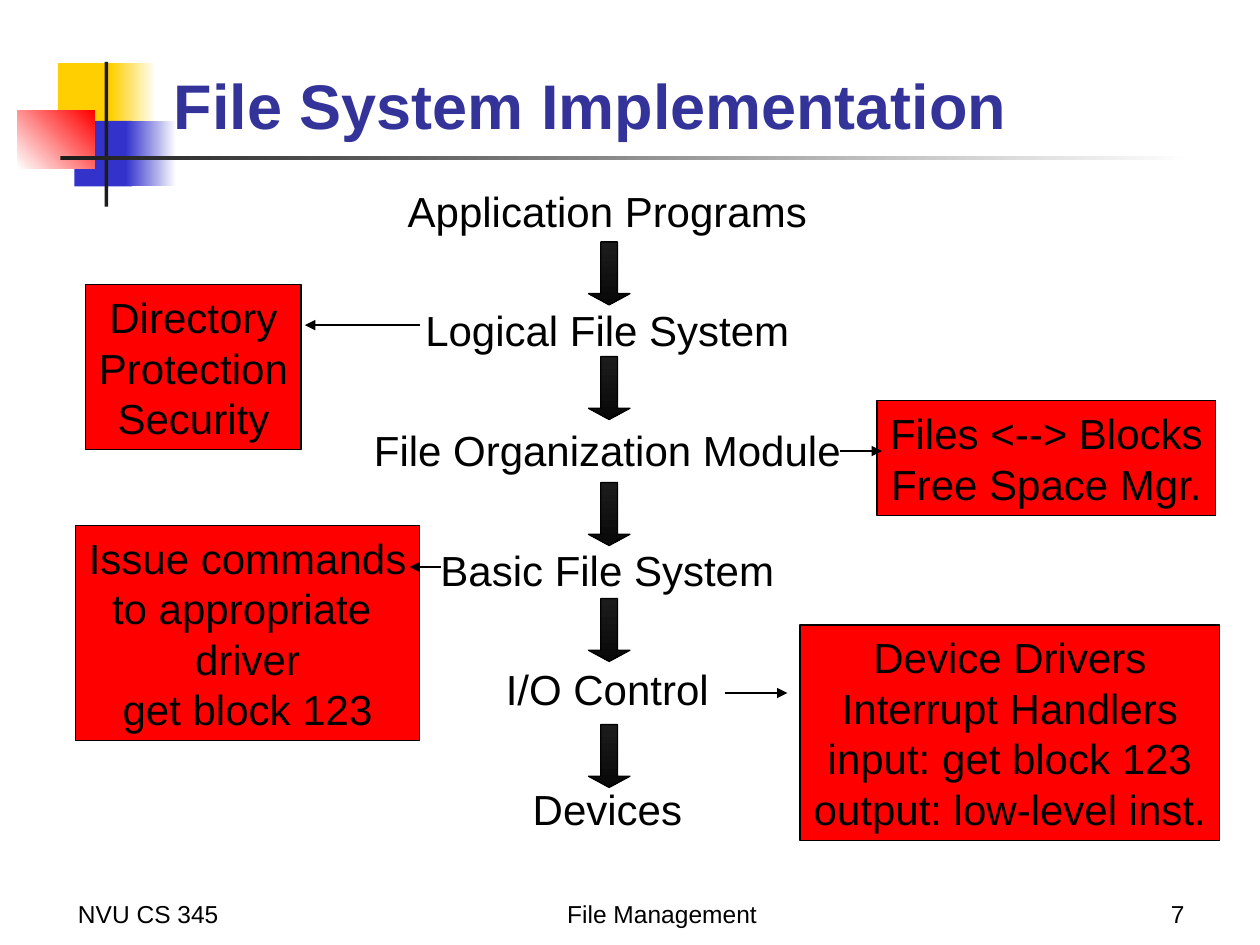
from lxml import etree
from pptx import Presentation
from pptx import util as u
from pptx.dml.color import RGBColor
from pptx.enum import shapes, text
from pptx.oxml.ns import qn

FONT = "Arial"
BLACK, WHITE, RED, DARK = "000000", "FFFFFF", "FF0000", "1C1C1C"
YELLOW, BLUE, TITLE_BLUE = "FFCF01", "3333CC", "333399"
LEFT, CENTER, RIGHT = text.PP_ALIGN.LEFT, text.PP_ALIGN.CENTER, text.PP_ALIGN.RIGHT
MIDDLE, BOTTOM = text.MSO_ANCHOR.MIDDLE, text.MSO_ANCHOR.BOTTOM

# Box (left, top, width, height), colours (one is solid, two a gradient), angle
DECOR = [
    ((0.46, 0.5, 0.48, 0.52), [YELLOW], 0),
    ((0.88, 0.5, 0.36, 0.52), [YELLOW, WHITE], 0),
    ((0.59, 0.96, 0.46, 0.52), [BLUE], 0),
    ((1, 0.96, 0.4, 0.52), [BLUE, WHITE], 0),
    ((0.14, 0.88, 0.61, 0.46), [WHITE, RED], 45),
    ((0.83, 0.49, 0.03, 1.15), [DARK], 0),
    ((0.48, 1.24, 9, 0.03), [DARK, WHITE], 0),
]
TITLE = "File System Implementation"
FOOTER = [
    ("NVU CS 345", (0.52, 6.92, 2.08, 0.5), LEFT),
    ("File Management", (3.67, 6.92, 3.17, 0.5), CENTER),
    ("7", (7.42, 6.92, 2.08, 0.5), RIGHT),
]
# Layer name, label width, top of the arrow leading down from it
LAYERS = [
    ("Application Programs", 3.37, 1.92),
    ("Logical File System", 3.09, 2.83),
    ("File Organization Module", 3.91, 3.83),
    ("Basic File System", 2.85, 4.75),
    ("I/O Control", 1.81, 5.75),
    ("Devices", 1.39, None),
]
LAYER_TOP, LAYER_STEP, LAYER_HEIGHT, LAYER_CENTER = 1.42, 0.95, 0.5, 4.82
ARROW_LEFT, ARROW_WIDTH, ARROW_HEIGHT = 4.67, 0.33, 0.5
# Lines of the note, its box, and its pointer (from x, to x, y)
NOTES = [
    (["Directory", "Protection", "Security"],
     (0.68, 2.26, 1.71, 1.31), (3.33, 2.42, 2.58)),
    (["Files <--> Blocks", "Free Space Mgr."],
     (6.96, 3.18, 2.69, 0.91), (6.67, 7, 3.58)),
    (["Issue commands", "to appropriate ", "driver", "get block 123"],
     (0.6, 4.17, 2.73, 1.71), (3.5, 3.25, 4.5)),
    (["Device Drivers", "Interrupt Handlers", "input: get block 123",
      "output: low-level inst."],
     (6.35, 4.96, 3.33, 1.71), (5.75, 6.25, 5.5)),
]


def color(value):
    """Turn a hex string into a colour."""
    return RGBColor.from_string(value)


def inches(values):
    """Turn numbers into lengths."""
    return [u.Inches(value) for value in values]


def write(shape, lines, size, align, anchor, wrap=True, ink=BLACK, bold=False):
    """Write one paragraph for each line into a shape."""
    frame = shape.text_frame
    frame.word_wrap = wrap
    frame.auto_size = text.MSO_AUTO_SIZE.NONE if wrap else text.MSO_AUTO_SIZE.SHAPE_TO_FIT_TEXT
    frame.vertical_anchor = anchor
    for index, line in enumerate(lines):
        para = frame.add_paragraph() if index else frame.paragraphs[0]
        para.alignment = align
        span = para.add_run()
        span.text = line
        span.font.name, span.font.size, span.font.bold = FONT, u.Pt(size), bold
        span.font.color.rgb = color(ink)


def add_filled(page, kind, box, colors, angle=0, outlined=True):
    """Add a preset shape with a solid or two-colour gradient fill."""
    shape = page.shapes.add_shape(kind, *inches(box))
    shape.shadow.inherit = False
    if len(colors) == 1:
        shape.fill.solid()
        shape.fill.fore_color.rgb = color(colors[0])
    else:
        shape.fill.gradient()
        shape.fill.gradient_angle = angle
        for stop, position, value in zip(shape.fill.gradient_stops, (0, 1), colors):
            stop.position, stop.color.rgb = position, color(value)
    if outlined:
        shape.line.color.rgb, shape.line.width = color(BLACK), u.Pt(0.75)
    else:
        shape.line.fill.background()
    return shape


def add_pointer(page, start, end, y):
    """Add a level line with an arrowhead at its end."""
    pointer = page.shapes.add_connector(
        shapes.MSO_CONNECTOR.STRAIGHT, *inches((start, y, end, y)))
    pointer.line.color.rgb, pointer.line.width = color(BLACK), u.Pt(0.75)
    etree.SubElement(pointer.line._get_or_add_ln(), qn("a:tailEnd"), type="triangle")
    etree.SubElement(pointer._element.spPr, qn("a:effectLst"))


def build():
    """Build the slide and save it."""
    deck = Presentation()
    deck.slide_width, deck.slide_height = inches((10, 7.5))
    page = deck.slides.add_slide(deck.slide_layouts[5])
    rect = shapes.MSO_SHAPE.RECTANGLE

    for box, colors, angle in DECOR:
        add_filled(page, rect, box, colors, angle, outlined=False)

    title = page.shapes.title
    title.left, title.top, title.width, title.height = inches((1.28, 0.23, 8.52, 0.95))
    write(title, [TITLE], 36, LEFT, BOTTOM, ink=TITLE_BLUE, bold=True)
    page.shapes._spTree.append(title._element)  # in front of the decoration

    for words, box, align in FOOTER:
        write(page.shapes.add_textbox(*inches(box)), [words], 14, align, BOTTOM)

    for row, (name, width, arrow_top) in enumerate(LAYERS):
        box = (LAYER_CENTER - width / 2, LAYER_TOP + row * LAYER_STEP, width, LAYER_HEIGHT)
        write(page.shapes.add_textbox(*inches(box)), [name], 24, CENTER, MIDDLE, wrap=False)
        if arrow_top is not None:
            arrow = add_filled(page, shapes.MSO_SHAPE.DOWN_ARROW,
                               (ARROW_LEFT, arrow_top, ARROW_WIDTH, ARROW_HEIGHT),
                               [DARK, "080808"], 270)
            arrow.adjustments[0], arrow.adjustments[1] = 0.4, 0.27

    for lines, box, pointer in NOTES:
        write(add_filled(page, rect, box, [RED]), lines, 24, CENTER, MIDDLE, wrap=False)
        add_pointer(page, *pointer)

    deck.save("out.pptx")


build()
